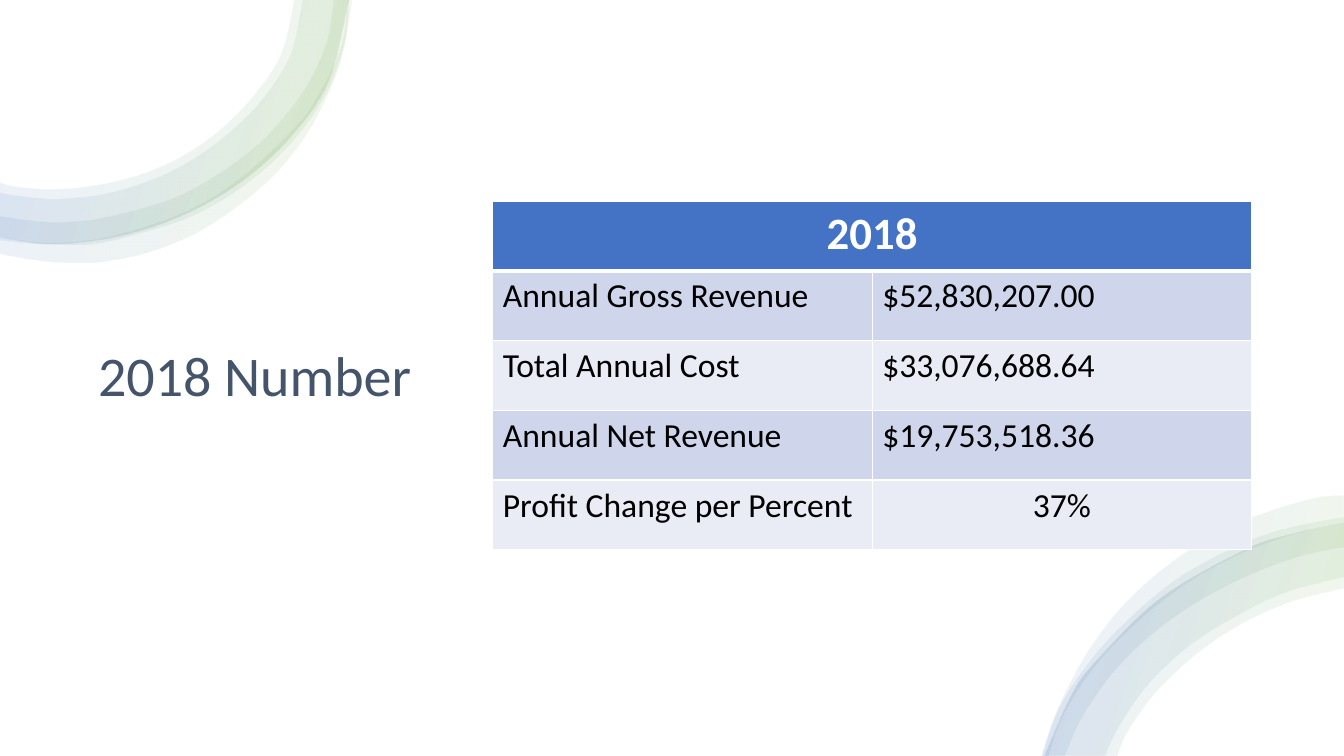
import pptx
import pptx.dml.color
import pptx.enum.shapes
import pptx.enum.text
import pptx.oxml
import pptx.oxml.ns
import pptx.util

Pt = pptx.util.Pt
RGBColor = pptx.dml.color.RGBColor
PP_ALIGN = pptx.enum.text.PP_ALIGN
qn = pptx.oxml.ns.qn
NAMESPACE = pptx.oxml.ns.nsdecls("a")

WHITE = RGBColor(0xFF, 0xFF, 0xFF)
BLACK = RGBColor(0, 0, 0)
SLATE = RGBColor(0x44, 0x54, 0x6A)
BLUE = RGBColor(0x44, 0x72, 0xC4)
GREEN = RGBColor(0x70, 0xAD, 0x47)
ROW_FILLS = (RGBColor(0xCF, 0xD5, 0xEA), RGBColor(0xE9, 0xEB, 0xF5))
FONT = "Calibri"
SLIDE_WIDTH, SLIDE_HEIGHT = 960, 540

BAND_STOPS = ((2, WHITE), (16, GREEN), (85, BLUE), (100, WHITE))
BAND_OPACITY = 10
BAND_ANGLE = 160

# Each band is an outer and an inner edge, given by the points they pass through.
TOP_OUTER = [(249, 0), (235, 57), (210, 95), (176, 127), (134, 152), (87, 168),
             (38, 174), (0, 169)]
TOP_BANDS = [
    (TOP_OUTER,
     [(210, 0), (204, 29), (196, 48), (179, 71), (157, 93), (131, 111), (102, 124),
      (70, 132), (38, 135), (11, 133), (0, 130)]),
    (TOP_OUTER,
     [(216, 0), (210, 31), (202, 50), (184, 75), (161, 97), (134, 116), (104, 130),
      (71, 139), (38, 142), (9, 139), (0, 137)]),
    ([(249, 0), (246, 30), (235, 62), (217, 91), (193, 117), (166, 138), (135, 155),
      (101, 166), (66, 174), (30, 174), (0, 171)],
     [(238, 0), (234, 27), (222, 56), (204, 82), (182, 105), (156, 124), (127, 140),
      (96, 150), (63, 157), (31, 158), (0, 154)]),
    ([(251, 0), (245, 35), (237, 60), (221, 92), (199, 121), (172, 145), (140, 166),
      (105, 180), (68, 187), (30, 186), (0, 181)],
     [(248, 0), (245, 26), (238, 47), (224, 73), (214, 87), (189, 112), (162, 134),
      (132, 151), (99, 163), (66, 171), (31, 173), (0, 169)]),
]
BOTTOM_OUTER = [(746, 540), (765, 497), (783, 472), (829, 427), (888, 393), (920, 382),
                (960, 373)]
BOTTOM_BANDS = [
    ([(744, 540), (755, 508), (775, 469), (801, 434), (834, 404), (873, 379),
      (905, 366), (939, 356), (960, 354)],
     [(749, 540), (760, 510), (783, 475), (813, 444), (846, 418), (883, 397),
      (923, 382), (960, 373)]),
    (BOTTOM_OUTER,
     [(798, 540), (805, 523), (825, 495), (852, 469), (884, 447), (921, 430),
      (960, 420)]),
    ([(745, 540), (757, 506), (780, 471), (809, 440), (842, 413), (880, 392),
      (911, 380), (942, 373), (960, 370)],
     [(761, 540), (773, 513), (795, 481), (822, 454), (854, 431), (890, 412),
      (927, 398), (960, 391)]),
    (BOTTOM_OUTER,
     [(789, 540), (798, 521), (819, 490), (847, 463), (881, 441), (918, 423),
      (960, 412)]),
]

TABLE_HEADING = "2018"
TABLE_ROWS = [
    ("Annual Gross Revenue", "$52,830,207.00"),
    ("Total Annual Cost", "$33,076,688.64"),
    ("Annual Net Revenue", "$19,753,518.36"),
    ("Profit Change per Percent", "37%"),
]


def curve_edge(lines, knots):
    """Turn the straight segments between knots into smooth Bezier curves."""
    padded = [knots[0], *knots, knots[-1]]
    for line, a, b, c, d in zip(lines, padded, padded[1:], padded[2:], padded[3:]):
        first = [q + (r - p) / 6 for p, q, r in zip(a, b, c)]
        second = [r - (s - q) / 6 for q, r, s in zip(b, c, d)]
        points = "".join(f'<a:pt x="{round(x)}" y="{round(y)}"/>'
                         for x, y in (first, second, c))
        line.getparent().replace(line, pptx.oxml.parse_xml(
            f"<a:cubicBezTo {NAMESPACE}>{points}</a:cubicBezTo>"))


def fill_band(shape):
    """Give a band its pale green-to-blue gradient."""
    shape.fill.gradient()
    shape.fill.gradient_angle = BAND_ANGLE
    stop_list = shape._element.spPr.find(qn("a:gradFill")).find(qn("a:gsLst"))
    for stop in list(stop_list):
        stop_list.remove(stop)
    for position, color in BAND_STOPS:
        stop_list.append(pptx.oxml.parse_xml(
            f'<a:gs {NAMESPACE} pos="{position * 1000}">'
            f'<a:srgbClr val="{color}"><a:alpha val="{BAND_OPACITY * 1000}"/>'
            '</a:srgbClr></a:gs>'))


def add_band(slide, outer, inner):
    """Draw one translucent curved band between two edges."""
    points = [(Pt(x), Pt(y)) for x, y in outer + inner[::-1]]
    builder = slide.shapes.build_freeform(*points[0])
    builder.add_line_segments(points[1:], close=True)
    shape = builder.convert_to_shape()
    knots = [(x - shape.left, y - shape.top) for x, y in points]
    lines = list(shape._element.iter(qn("a:lnTo")))
    count = len(outer)
    curve_edge(lines[:count - 1], knots[:count])
    curve_edge(lines[count:], knots[count:])
    shape.shadow.inherit = False
    shape.line.fill.background()
    fill_band(shape)


def add_backdrop(slide):
    """Cover the slide with a plain white rectangle."""
    shape = slide.shapes.add_shape(pptx.enum.shapes.MSO_SHAPE.RECTANGLE, 0, 0,
                                   Pt(SLIDE_WIDTH), Pt(SLIDE_HEIGHT))
    shape.shadow.inherit = False
    shape.fill.solid()
    shape.fill.fore_color.rgb = WHITE
    shape.line.fill.background()


def format_text(paragraph, size, color, bold=False):
    """Set the font of every run in a paragraph."""
    for run in paragraph.runs:
        run.font.name = FONT
        run.font.size = Pt(size)
        run.font.bold = bold
        run.font.color.rgb = color


def add_title(slide, text):
    """Add the title, centred vertically beside the table."""
    box = slide.shapes.add_textbox(Pt(63), Pt(121.5), Pt(268), Pt(297.5))
    frame = box.text_frame
    frame.word_wrap = True
    frame.vertical_anchor = pptx.enum.text.MSO_ANCHOR.MIDDLE
    frame.text = text
    frame.paragraphs[0].line_spacing = 0.9
    format_text(frame.paragraphs[0], 40, SLATE)


def style_cell(cell, fill, top=1, bottom=1):
    """Fill a cell and draw its white borders."""
    properties = cell._tc.get_or_add_tcPr()
    for side, width in (("L", 1), ("R", 1), ("T", top), ("B", bottom)):
        properties.append(pptx.oxml.parse_xml(
            f'<a:ln{side} {NAMESPACE} w="{Pt(width)}"><a:solidFill>'
            f'<a:srgbClr val="{WHITE}"/></a:solidFill></a:ln{side}>'))
    cell.fill.solid()
    cell.fill.fore_color.rgb = fill


def add_figures_table(slide):
    """Add the table of yearly figures under a merged heading."""
    table = slide.shapes.add_table(len(TABLE_ROWS) + 1, 2, Pt(352), Pt(143.8),
                                   Pt(542), Pt(249)).table
    heading = table.cell(0, 0)
    heading.merge(table.cell(0, 1))
    heading.text_frame.text = TABLE_HEADING
    heading.text_frame.paragraphs[0].alignment = PP_ALIGN.CENTER
    format_text(heading.text_frame.paragraphs[0], 32, WHITE, bold=True)
    for column in range(2):
        style_cell(table.cell(0, column), BLUE, bottom=3)
    for row, texts in enumerate(TABLE_ROWS, start=1):
        for column, text in enumerate(texts):
            cell = table.cell(row, column)
            cell.text_frame.text = text
            paragraph = cell.text_frame.paragraphs[0]
            format_text(paragraph, 24, BLACK)
            if text.endswith("%"):
                paragraph.alignment = PP_ALIGN.CENTER
            style_cell(cell, ROW_FILLS[(row - 1) % 2], top=3 if row == 1 else 1)


def main():
    """Build the slide and save it."""
    presentation = pptx.Presentation()
    presentation.slide_width = Pt(SLIDE_WIDTH)
    presentation.slide_height = Pt(SLIDE_HEIGHT)
    slide = presentation.slides.add_slide(presentation.slide_layouts[6])
    add_backdrop(slide)
    add_title(slide, "2018 Number")
    for outer, inner in TOP_BANDS + BOTTOM_BANDS:
        add_band(slide, outer, inner)
    add_figures_table(slide)
    presentation.save("out.pptx")


main()
